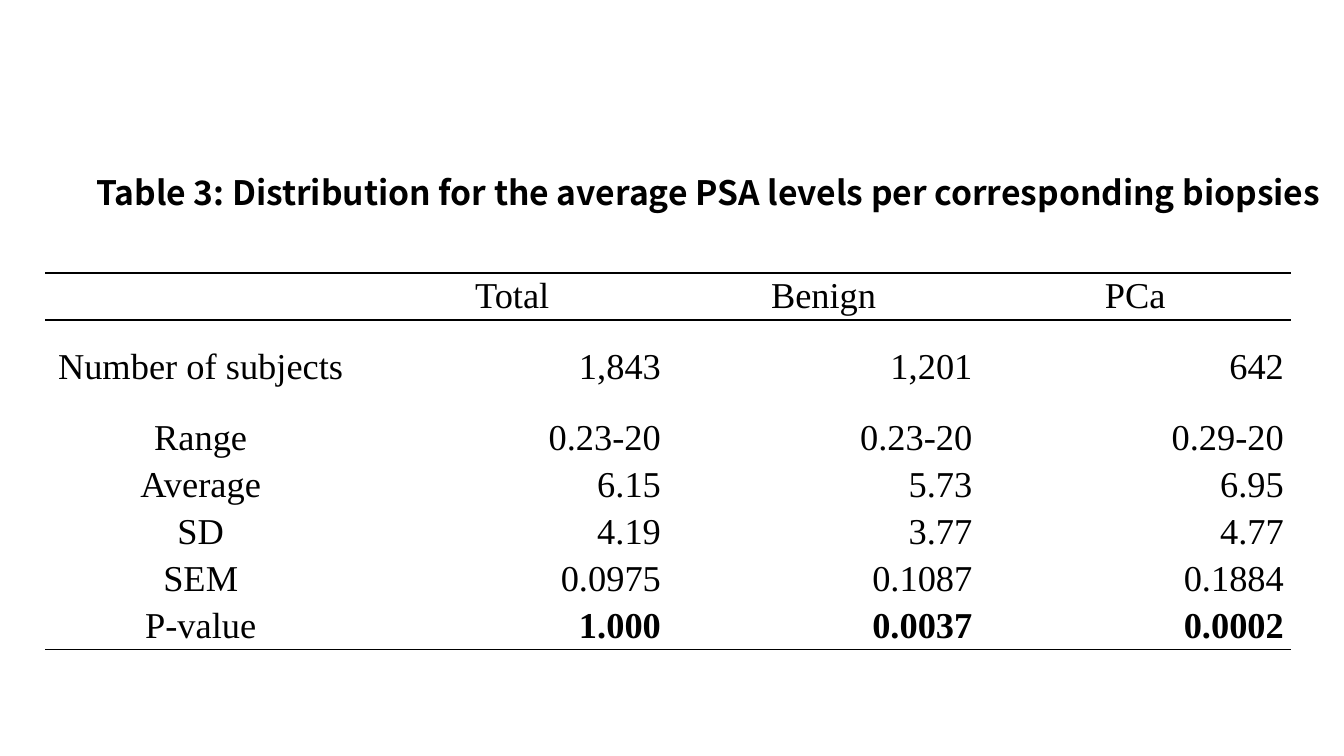
from lxml.etree import SubElement
from pptx import Presentation
from pptx.dml.color import RGBColor
from pptx.enum.text import MSO_ANCHOR, MSO_AUTO_SIZE, PP_ALIGN
from pptx.oxml.ns import qn
from pptx.util import Pt

TITLE = "Table 3: Distribution for the average PSA levels per corresponding biopsies"
ROWS = [
    ("", "Total", "Benign", "PCa"),
    ("Number of subjects", "1,843", "1,201", "642"),
    ("Range", "0.23-20", "0.23-20", "0.29-20"),
    ("Average", "6.15", "5.73", "6.95"),
    ("SD", "4.19", "3.77", "4.77"),
    ("SEM", "0.0975", "0.1087", "0.1884"),
    ("P-value", "1.000", "0.0037", "0.0002"),
]
THEME = {
    "ink": "000000",
    "title_font": "Noto Sans CJK KR", "title_size": 24,
    "table_font": "Times New Roman", "table_size": 26,
    "rule": 1,
}
TITLE_BOX = (86, 167, 1246, 132)
TABLE_BOX = (45, 273, 1246, 377)
ROW_H, TALL_ROW_H = 47, 95
CELL_INSET = 7
SCALE = 914400 / 100.8


def px(n):
    return round(n * SCALE)


def add_run(p, text, font, size, bold):
    r = p.add_run()
    r.text = text
    r.font.name = font
    r.font.size = Pt(size)
    r.font.bold = bold
    r.font.color.rgb = RGBColor.from_string(THEME["ink"])


def set_borders(cell, ruled):
    tcPr = cell._tc.get_or_add_tcPr()
    for side in ("lnL", "lnR", "lnT", "lnB"):
        if side in ruled:
            ln = SubElement(tcPr, qn("a:" + side), w=str(Pt(THEME["rule"])))
            fill = SubElement(ln, qn("a:solidFill"))
            SubElement(fill, qn("a:srgbClr"), val=THEME["ink"])
        else:
            ln = SubElement(tcPr, qn("a:" + side), w="0")
            SubElement(ln, qn("a:noFill"))


prs = Presentation()
prs.slide_width, prs.slide_height = px(1344), px(756)
s = prs.slides.add_slide(prs.slide_layouts[5])

title = s.shapes.title
title.left, title.top, title.width, title.height = map(px, TITLE_BOX)
tf = title.text_frame
tf.word_wrap = False
tf.auto_size = MSO_AUTO_SIZE.NONE
tf.vertical_anchor = MSO_ANCHOR.TOP
p = tf.paragraphs[0]
p.alignment = PP_ALIGN.LEFT
add_run(p, TITLE, THEME["title_font"], THEME["title_size"], True)

last = len(ROWS) - 1
table = s.shapes.add_table(len(ROWS), len(ROWS[0]), *map(px, TABLE_BOX)).table
table.first_row = table.horz_banding = False
for i, row in enumerate(ROWS):
    table.rows[i].height = px(TALL_ROW_H if i == 1 else ROW_H)
    ruled = {0: ("lnT", "lnB"), 1: ("lnT",), last: ("lnB",)}.get(i, ())
    for j, text in enumerate(row):
        cell = table.cell(i, j)
        set_borders(cell, ruled)
        cell.fill.background()
        cell.vertical_anchor = MSO_ANCHOR.MIDDLE
        cell.margin_left = cell.margin_right = px(CELL_INSET)
        cell.margin_top = cell.margin_bottom = 0
        p = cell.text_frame.paragraphs[0]
        p.alignment = PP_ALIGN.RIGHT if i and j else PP_ALIGN.CENTER
        if text:
            add_run(p, text, THEME["table_font"], THEME["table_size"], i == last and j > 0)

prs.save("out.pptx")
